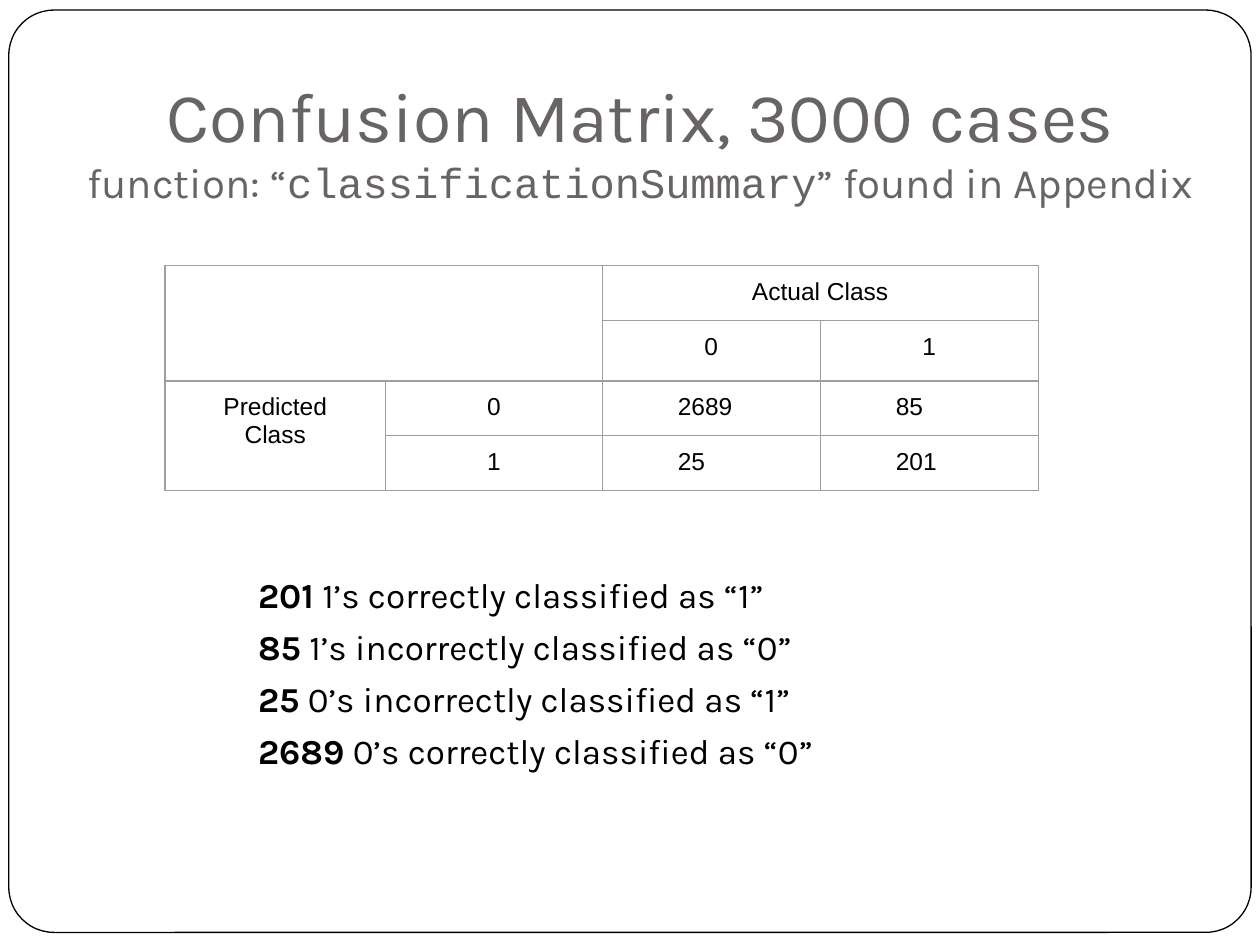
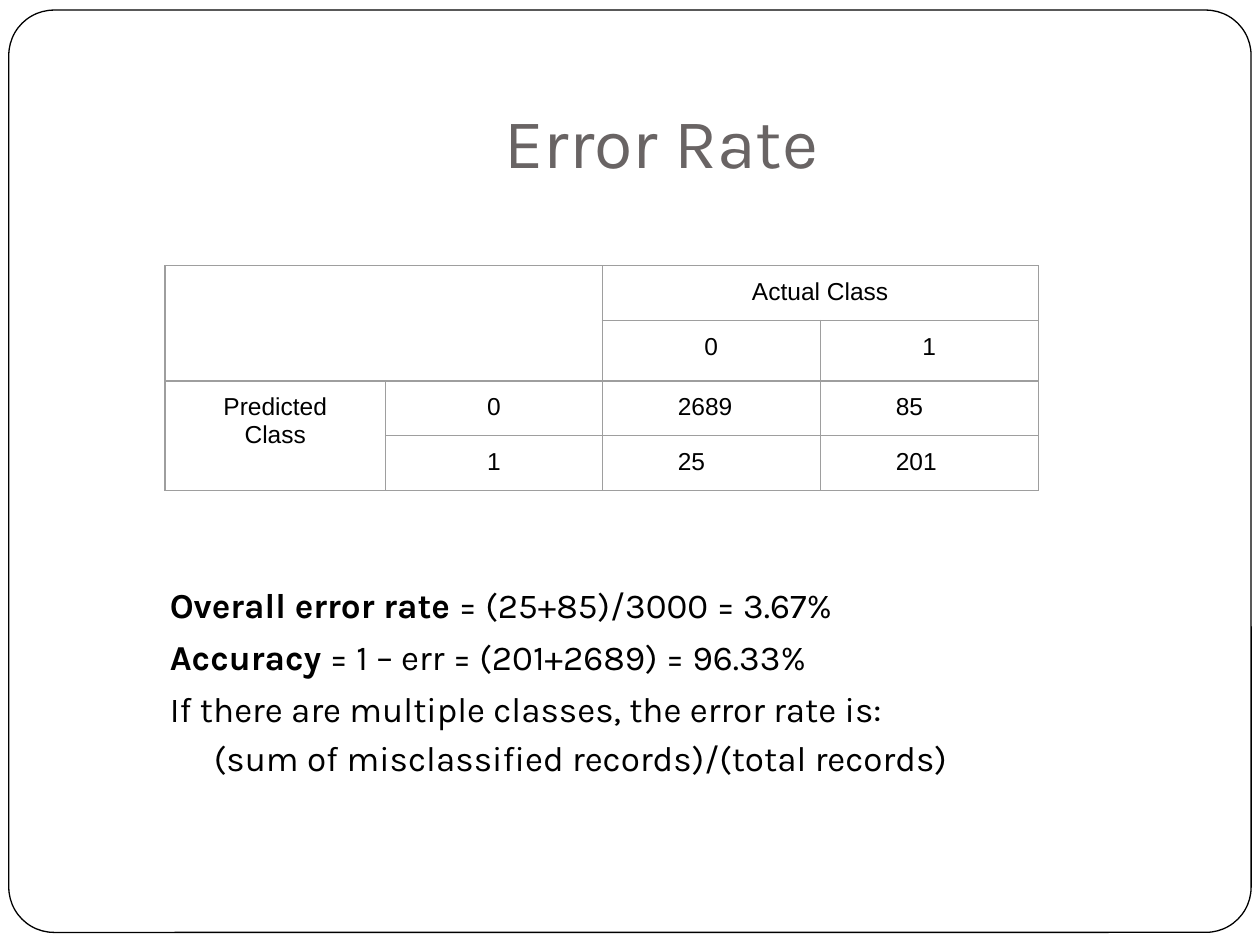
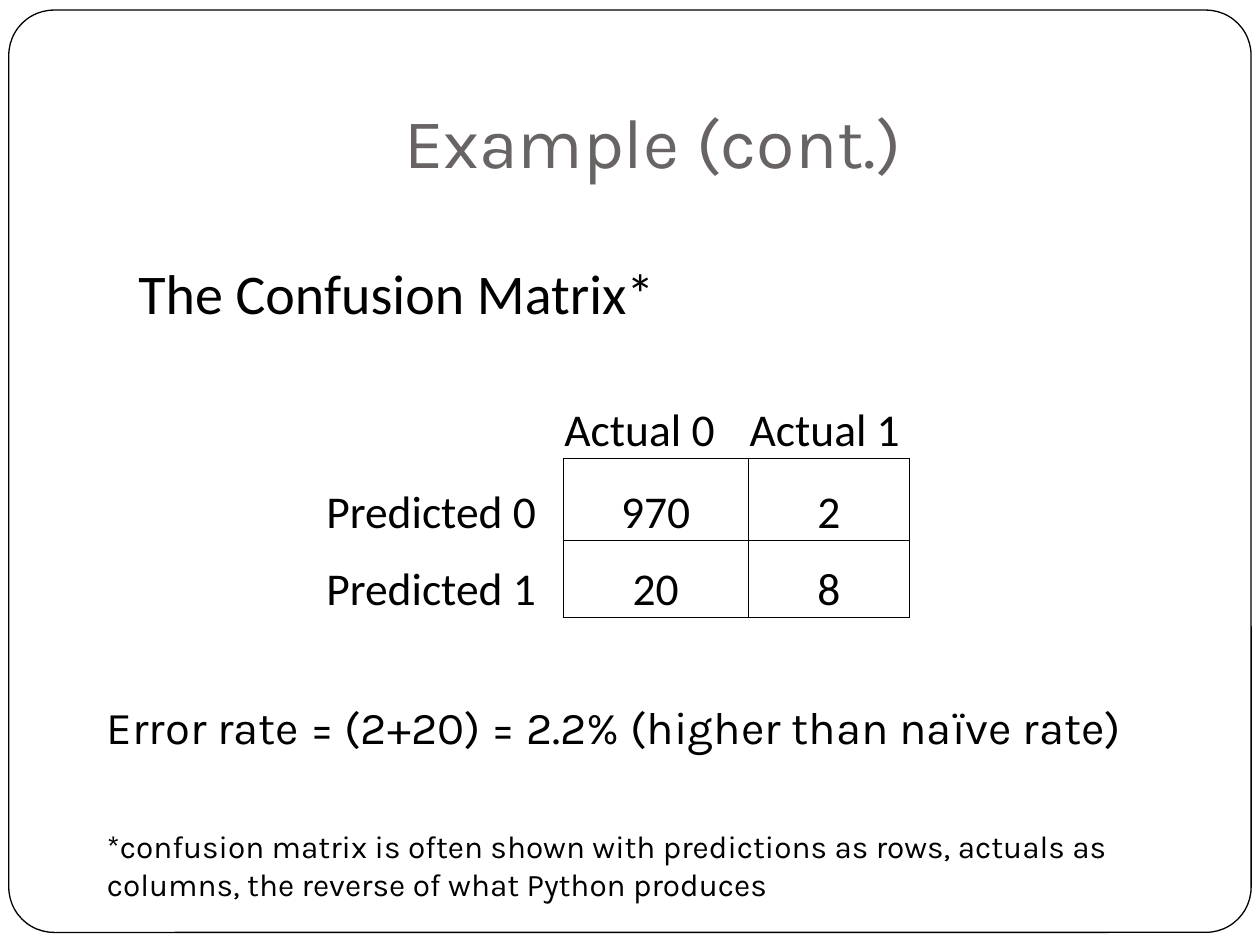
import pptx
import pptx.dml.color
import pptx.enum.shapes
import pptx.enum.text
import pptx.oxml
import pptx.oxml.ns
import pptx.util
from pptx.util import Inches

COLORS = {"ink": "000000", "title": "696464", "paper": "FFFFFF", "grid": "9E9E9E"}
ALIGN = pptx.enum.text.PP_ALIGN
ANCHOR = pptx.enum.text.MSO_ANCHOR
PLAIN_TABLE = "{2D5ABB26-0587-4C30-8999-92F81FD0307C}"
SIDES = {"lnL": (0, -1), "lnR": (0, 1), "lnT": (-1, 0), "lnB": (1, 0)}
BOLD = {"bold": True}


def rgb(name):
    return pptx.dml.color.RGBColor.from_string(COLORS[name])


def set_values(target, values):
    for name, value in values.items():
        setattr(target, name, value)


def margins(left, top, right, bottom):
    sides = {"left": left, "top": top, "right": right, "bottom": bottom}
    return {f"margin_{side}": Inches(size) for side, size in sides.items()}


class Deck:
    def __init__(self):
        self.deck = pptx.Presentation()
        set_values(self.deck, {"slide_width": Inches(10), "slide_height": Inches(7.5)})
        self.page = None

    def add_page(self):
        self.page = self.deck.slides.add_slide(self.deck.slide_layouts[6])
        frame = self.page.shapes.add_shape(
            pptx.enum.shapes.MSO_SHAPE.ROUNDED_RECTANGLE,
            Inches(0.07), Inches(0.08), Inches(9.86), Inches(7.32))
        frame.adjustments[0] = 0.049
        frame.shadow.inherit = False
        frame.fill.solid()
        frame.fill.fore_color.rgb = rgb("paper")
        frame.line.color.rgb = rgb("ink")
        frame.line.width = pptx.util.Pt(0.75)

    def paragraph(self, para, spans, font, size, color="ink", align=ALIGN.LEFT,
                  before=0, indent=0, hanging=0):
        set_values(para, {"alignment": align, "space_before": pptx.util.Pt(before)})
        properties = para._p.get_or_add_pPr()
        properties.set("marL", str(Inches(indent)))
        properties.set("indent", str(Inches(-hanging)))
        for text, changes in spans:
            if text == "\n":
                para.add_line_break()
                continue
            span = para.add_run()
            span.text = text
            values = {"name": font, "size": pptx.util.Pt(size), "bold": False}
            set_values(span.font, values | changes)
            span.font.color.rgb = rgb(color)

    def text_box(self, area, paras, bottom=0.05, anchor=ANCHOR.TOP):
        box = self.page.shapes.add_textbox(*map(Inches, area))
        frame = box.text_frame
        set_values(frame, {"word_wrap": True, "vertical_anchor": anchor}
                   | margins(0.1, 0.05, 0.1, bottom))
        for index, (spans, values) in enumerate(paras):
            para = frame.add_paragraph() if index else frame.paragraphs[0]
            self.paragraph(para, spans, **values)

    def title(self, spans, area=(1, 0.3, 8.5, 1.25)):
        style = {"font": "Karla", "size": 40, "color": "title", "align": ALIGN.CENTER}
        self.text_box(area, [(spans, style)], 0.1, ANCHOR.BOTTOM)

    def body(self, area, lines, size=20):
        paras = []
        for index, (spans, changes) in enumerate(lines):
            style = {"font": "Karla", "size": size, "indent": 0.3, "hanging": 0.3,
                     "before": 5.8 if index else 0}
            paras.append((spans, style | changes))
        self.text_box(area, paras)

    def table(self, left, top, widths, heights, rows, font, size, color,
              insets, anchor, style_of, framed, merges=()):
        holder = self.page.shapes.add_table(
            len(heights), len(widths), Inches(left), Inches(top),
            Inches(sum(widths)), Inches(sum(heights)))
        table = holder.table
        set_values(table, {"first_row": False, "horz_banding": False})
        table._tbl.tblPr.find(pptx.oxml.ns.qn("a:tableStyleId")).text = PLAIN_TABLE
        for column, width in zip(table.columns, widths):
            column.width = Inches(width)
        for row, height in zip(table.rows, heights):
            row.height = Inches(height)
        for start, end in merges:
            table.cell(*start).merge(table.cell(*end))
        for r, row in enumerate(rows):
            for c, text in enumerate(row):
                cell = table.cell(r, c)
                self.borders(cell, r, c, color, framed)
                cell.fill.background()
                if not text:
                    continue
                set_values(cell, {"vertical_anchor": anchor} | margins(*insets))
                for index, line in enumerate(text.split("\n")):
                    frame = cell.text_frame
                    para = frame.add_paragraph() if index else frame.paragraphs[0]
                    self.paragraph(para, [(line, {})], font, size, **style_of(r, c))

    def borders(self, cell, r, c, color, framed):
        properties = cell._tc.get_or_add_tcPr()
        for tag, (down, across) in SIDES.items():
            if framed(r, c) or framed(r + down, c + across):
                properties.append(pptx.oxml.parse_xml(
                    f'<a:{tag} {pptx.oxml.ns.nsdecls("a")} w="9525"><a:solidFill>'
                    f'<a:srgbClr val="{COLORS[color]}"/></a:solidFill></a:{tag}>'))

    def class_table(self):
        rows = [["", "", "Actual Class", ""],
                ["", "", "0", "1"],
                ["Predicted\nClass", "0", "2689", "85"],
                ["", "1", "25", "201"]]

        def style_of(r, c):
            return {"indent": 0.5} if r > 1 and c > 1 else {"align": ALIGN.CENTER}

        self.table(1.31, 2.11, [1.75, 1.72, 1.73, 1.73], [0.42, 0.48, 0.42, 0.42],
                   rows, "Arial", 14, "grid", (0.1, 0.1, 0.1, 0.1), ANCHOR.TOP,
                   style_of, lambda r, c: True,
                   [((0, 0), (1, 1)), ((0, 2), (0, 3)), ((2, 0), (3, 0))])

    def count_table(self):
        rows = [["", "Actual 0", "Actual 1"],
                ["Predicted 0", "970", "2"],
                ["Predicted 1", "20", "8"]]

        def is_count(r, c):
            return 1 <= r <= 2 and 1 <= c <= 2

        def style_of(r, c):
            return {"align": ALIGN.CENTER if is_count(r, c) else ALIGN.LEFT}

        self.table(2.58, 3.17, [1.89, 1.47, 1.28], [0.47, 0.65, 0.61],
                   rows, "Calibri", 26, "ink", (0.01, 0.01, 0.01, 0),
                   ANCHOR.BOTTOM, style_of, is_count)


show = Deck()

show.add_page()
small = {"size": pptx.util.Pt(24)}
show.title([("Confusion Matrix, 3000 cases", {}), ("\n", {}),
            ("function: “", small),
            ("classificationSummary", small | {"name": "Courier New"}),
            ("” found in Appendix", small)], (0.5, 0.3, 9.16, 1.44))
outcomes = [("201", " 1’s correctly classified as “1”"),
            ("85", " 1’s incorrectly classified as “0”"),
            ("25", " 0’s incorrectly classified as “1”"),
            ("2689", " 0’s correctly classified as “0”")]
show.body((1.95, 4.5, 6.5, 1.75),
          [([(count, BOLD), (meaning, {})], {}) for count, meaning in outcomes])
show.class_table()

show.add_page()
show.title([("Error Rate", {})])
show.body((1.25, 4.58, 7.83, 2.17), [
    ([("Overall error rate", BOLD), (" = (25+85)/3000 = 3.67%", {})], {}),
    ([("Accuracy", BOLD), (" = 1 – err = (201+2689) = 96.33%", {})], {}),
    ([("If there are multiple classes, the error rate is:", {})], {}),
    ([("(sum of misclassified records)/(total records)", {})],
     {"indent": 0.6, "hanging": 0.25, "before": 3.8})])
show.class_table()

show.add_page()
show.title([("Example (cont.)", {})], (0.93, 0.3, 8.5, 1.25))
show.body((0.75, 5.5, 8.75, 1.33), [
    ([("Error rate = (2+20) = 2.2% (higher than naïve rate)", {})], {}),
    ([("*confusion matrix is often shown with predictions as rows, actuals as "
       "columns, the reverse of what Python produces", {})],
     {"size": 18, "indent": 0, "hanging": 0, "before": 42})], 26)
show.count_table()
show.text_box((1, 2, 6.58, 0.64),
              [([("The Confusion Matrix*", {})], {"font": "Calibri", "size": 32})])

show.deck.save("out.pptx")
